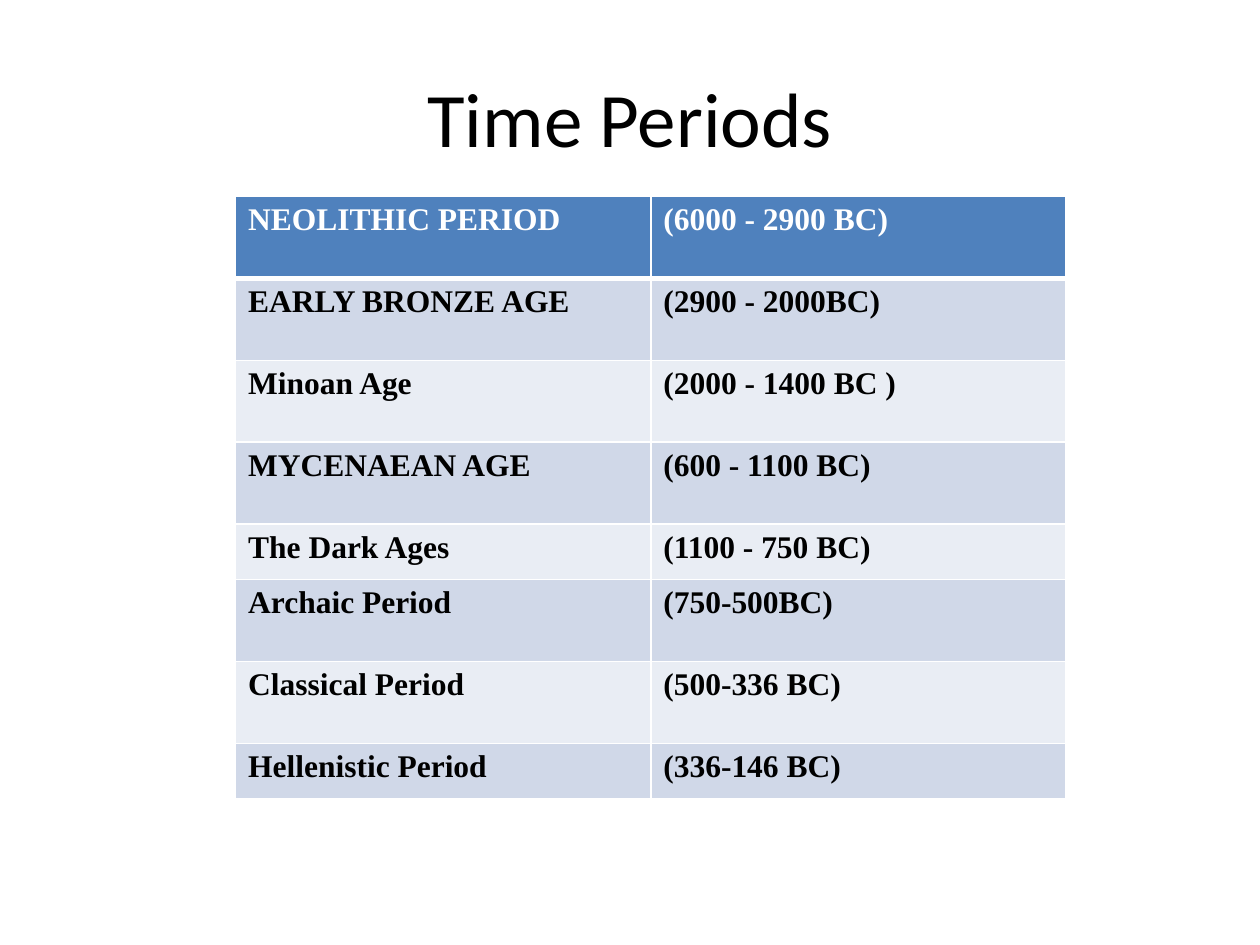
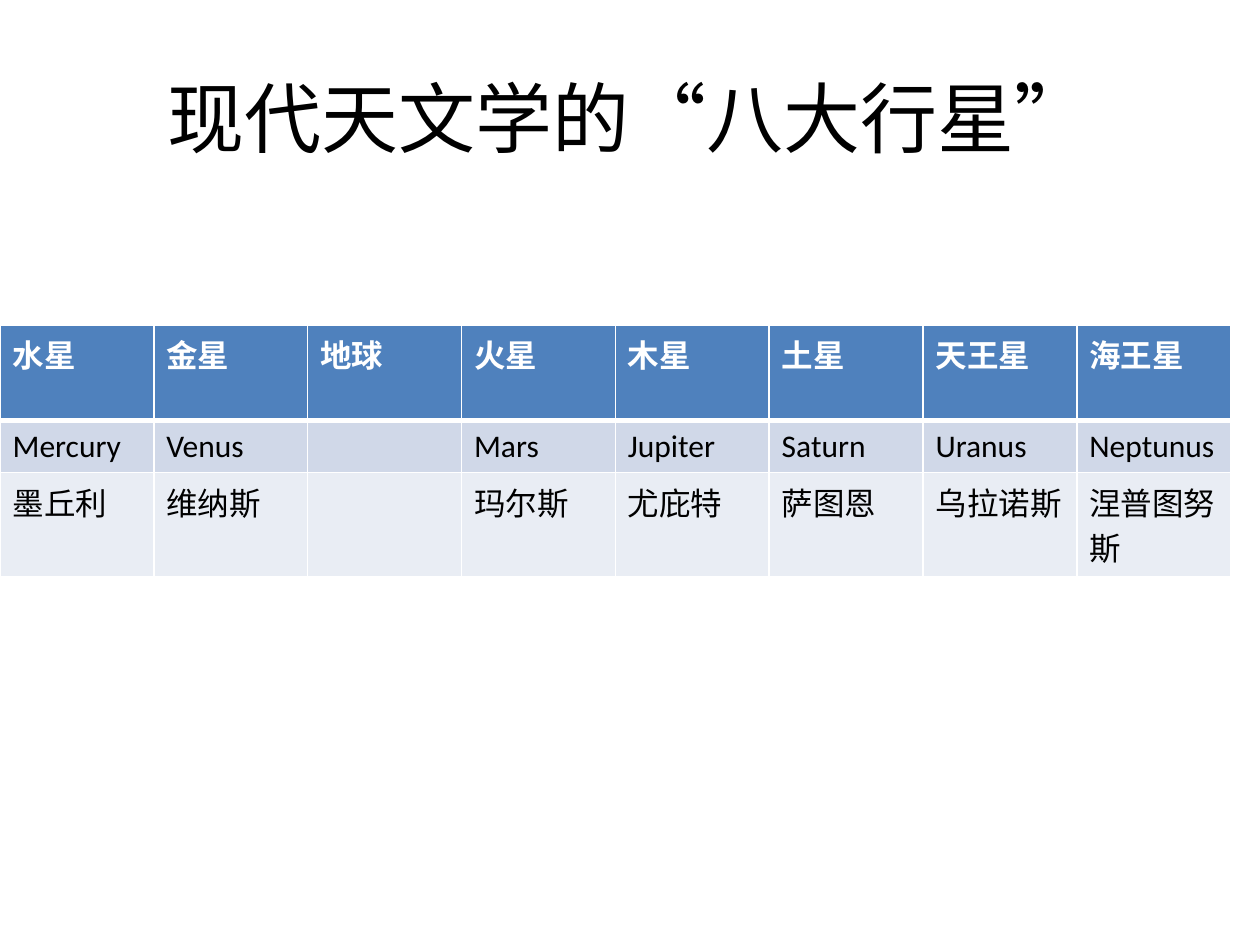
from lxml.etree import SubElement
from pptx import Presentation
from pptx.dml.color import RGBColor
from pptx.enum.text import MSO_ANCHOR, PP_ALIGN
from pptx.oxml.ns import qn
from pptx.util import Inches, Pt

HEAD, DARK, LIGHT = "4F81BD", "D0D8E8", "E9EDF4"
WHITE, BLACK = "FFFFFF", "000000"

ERAS = [
    ("NEOLITHIC PERIOD", "(6000 - 2900 BC)"),
    ("EARLY BRONZE AGE", "(2900 - 2000BC)"),
    ("Minoan Age", "(2000 - 1400 BC )"),
    ("MYCENAEAN AGE", "(600 - 1100 BC)"),
    ("The Dark Ages", "(1100 - 750 BC)"),
    ("Archaic Period", "(750-500BC)"),
    ("Classical Period", "(500-336 BC)"),
    ("Hellenistic Period", "(336-146 BC)"),
]
PLANETS = [
    ("水星", "金星", "地球", "火星", "木星", "土星", "天王星", "海王星"),
    ("Mercury", "Venus", "", "Mars", "Jupiter", "Saturn", "Uranus", "Neptunus"),
    ("墨丘利", "维纳斯", "", "玛尔斯", "尤庇特", "萨图恩", "乌拉诺斯", "涅普图努斯"),
]
TALL, SHORT = 0.65, 0.44
SLIDES = [
    dict(title="Time Periods", rows=ERAS, left=1.87, top=1.56, width=6.59,
         heights=[TALL] * 4 + [SHORT] + [TALL] * 2 + [SHORT],
         face="Times New Roman", bold=True),
    dict(title="现代天文学的“八大行星”", rows=PLANETS, left=0, top=2.58,
         width=9.77, heights=[0.76, 0.41, 0.82], face="Calibri", bold=False),
]


def color(code):
    return RGBColor.from_string(code)


def write(par, text, face, size, tint, bold=False):
    run = par.add_run()
    run.text = text
    font = run.font
    font.name, font.size, font.bold = face, Pt(size), bold
    font.color.rgb = color(tint)


def add_title(slide, text):
    title = slide.shapes.title
    title.left, title.top = Inches(0.5), Inches(0.3)
    title.width, title.height = Inches(9), Inches(1.25)
    frame = title.text_frame
    frame.vertical_anchor = MSO_ANCHOR.MIDDLE
    par = frame.paragraphs[0]
    par.alignment = PP_ALIGN.CENTER
    write(par, text, "Calibri", 44, BLACK)


def add_edges(cell, row):
    """Draw white borders, thicker between the header and the body."""
    props = cell._tc.get_or_add_tcPr()
    widths = {"L": 1, "R": 1, "T": 3 if row == 1 else 1, "B": 3 if row == 0 else 1}
    for side, width in widths.items():
        line = SubElement(props, qn(f"a:ln{side}"), w=str(Pt(width)))
        fill = SubElement(line, qn("a:solidFill"))
        SubElement(fill, qn("a:srgbClr"), val=WHITE)


def add_grid(slide, rows, left, top, width, heights, face, bold):
    count = len(rows[0])
    table = slide.shapes.add_table(
        len(rows), count, Inches(left), Inches(top),
        Inches(width), Inches(sum(heights))).table
    for col in table.columns:
        col.width = Inches(width / count)
    for r, (texts, height) in enumerate(zip(rows, heights)):
        table.rows[r].height = Inches(height)
        back = HEAD if r == 0 else DARK if r % 2 else LIGHT
        for c, text in enumerate(texts):
            cell = table.cell(r, c)
            add_edges(cell, r)
            cell.fill.solid()
            cell.fill.fore_color.rgb = color(back)
            if text:
                write(cell.text_frame.paragraphs[0], text, face, 18,
                      BLACK if r else WHITE, bold or r == 0)


def main():
    deck = Presentation()
    deck.slide_width, deck.slide_height = Inches(10), Inches(7.5)
    for data in SLIDES:
        slide = deck.slides.add_slide(deck.slide_layouts[5])
        slide.background.fill.solid()
        slide.background.fill.fore_color.rgb = color(WHITE)
        grid = dict(data)
        add_title(slide, grid.pop("title"))
        add_grid(slide, **grid)
    deck.save("out.pptx")


if __name__ == "__main__":
    main()
